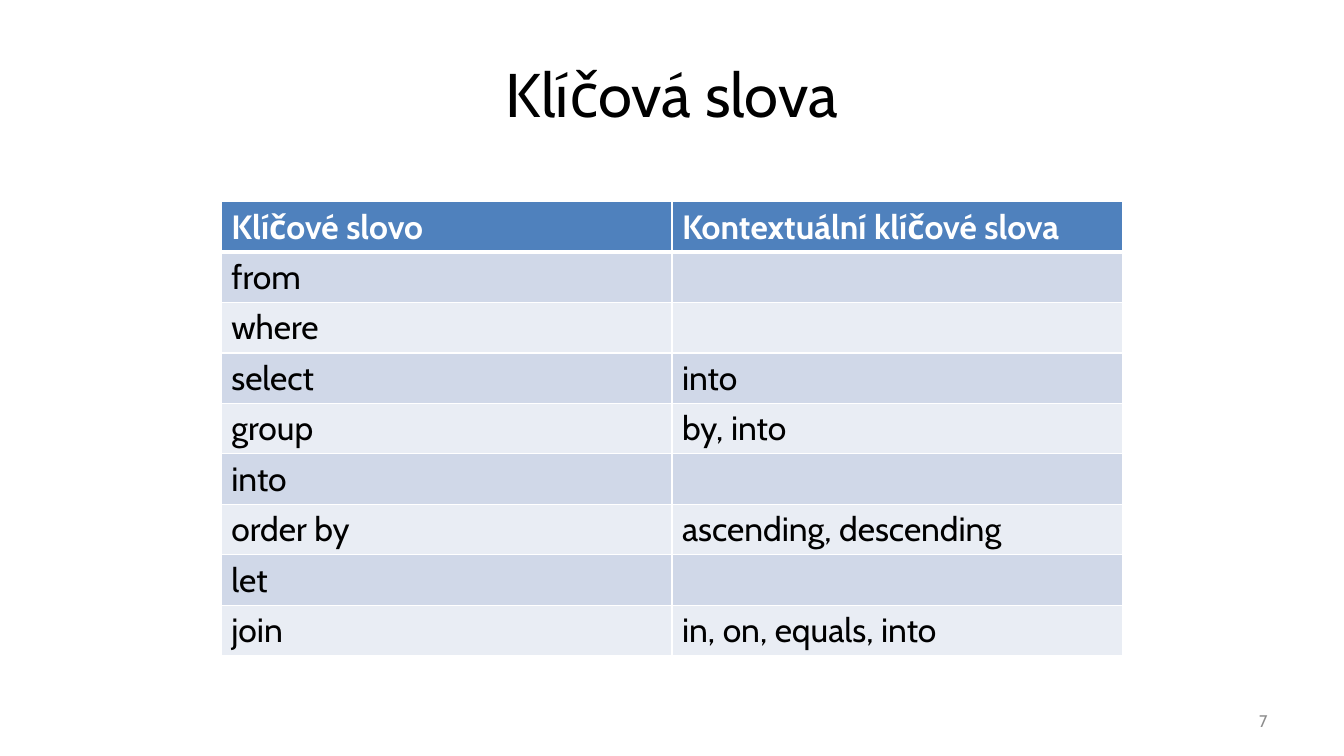
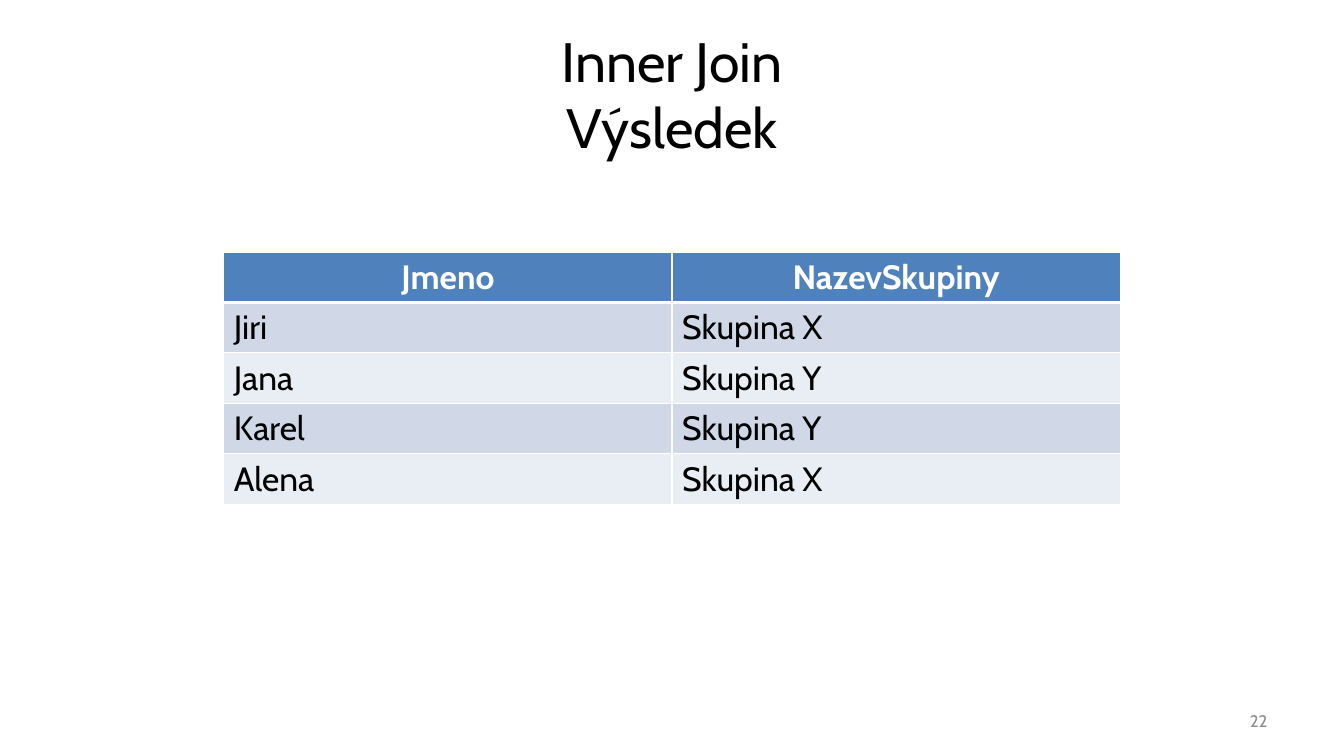
from copy import deepcopy
from dataclasses import dataclass

from pptx import Presentation
from pptx.dml.color import RGBColor as RGB
from pptx.enum.text import MSO_ANCHOR as ANCHOR, MSO_AUTO_SIZE as AUTO, PP_ALIGN as ALIGN
from pptx.oxml import parse_xml
from pptx.oxml.ns import nsdecls, qn
from pptx.util import Inches, Pt


@dataclass(frozen=True)
class Theme:
    """Colours, font and type sizes shared by the slides."""
    font: str = "Cabin"
    text: str = "000000"
    white: str = "FFFFFF"
    muted: str = "8C8C8C"
    header: str = "4F81BD"
    bands: tuple = ("D0D8E8", "E9EDF4")
    title: float = 44
    title_small: float = 39.6
    body: float = 24
    number: float = 12
    rule: float = 1
    header_rule: float = 3


T = Theme()
WIDTH, HEIGHT = 13.33, 7.5
MARGIN = WIDTH / 20
ROW = HEIGHT / 15
TITLE_BOX = (MARGIN, 0.3, WIDTH - 2 * MARGIN, 1.25)
NUMBER_BOX = (9.56, 6.95, 3.11, 0.4)

KEYWORDS = [
    ("Klíčové slovo", "Kontextuální klíčové slova"),
    ("from", ""),
    ("where", ""),
    ("select", "into"),
    ("group", "by, into"),
    ("into", ""),
    ("order by", "ascending, descending"),
    ("let", ""),
    ("join", "in, on, equals, into"),
]
JOINED = [
    ("Jmeno", "NazevSkupiny"),
    ("Jiri", "Skupina X"),
    ("Jana", "Skupina Y"),
    ("Karel", "Skupina Y"),
    ("Alena", "Skupina X"),
]


def write(tf, text, size, color, align=ALIGN.LEFT, bold=False):
    """Put text in a frame and format its runs and line breaks."""
    tf.text = text
    for p in tf.paragraphs:
        p.alignment = align
        for r in p.runs:
            r.font.name, r.font.size, r.font.bold = T.font, Pt(size), bold
            r.font.color.rgb = RGB.from_string(color)
        for br in p._p.findall(qn("a:br")):
            br.insert(0, deepcopy(p.runs[0]._r.rPr))


def add_title(s, box, text, size):
    """Move and format the title placeholder."""
    sp = s.shapes.title
    sp.left, sp.top, sp.width, sp.height = map(Inches, box)
    tf = sp.text_frame
    tf.word_wrap, tf.auto_size, tf.vertical_anchor = True, AUTO.NONE, ANCHOR.MIDDLE
    write(tf, text, size, T.text, ALIGN.CENTER)


def add_number(s, box, number):
    """Add the slide number at the lower right."""
    tf = s.shapes.add_textbox(*map(Inches, box)).text_frame
    tf.word_wrap, tf.vertical_anchor = True, ANCHOR.MIDDLE
    write(tf, str(number), T.number, T.muted, ALIGN.RIGHT)


def set_borders(cell, widths):
    """Draw white cell borders of the given widths."""
    tcPr = cell._tc.get_or_add_tcPr()
    for i, (side, width) in enumerate(widths.items()):
        tcPr.insert(i, parse_xml(
            f'<a:{side} {nsdecls("a")} w="{Pt(width)}"><a:solidFill>'
            f'<a:srgbClr val="{T.white}"/></a:solidFill></a:{side}>'))


def add_grid(s, box, rows, header_align):
    """Fill a box with a banded table under a header row."""
    table = s.shapes.add_table(len(rows), len(rows[0]), *map(Inches, box)).table
    for i, row in enumerate(rows):
        head = i == 0
        fill = T.header if head else T.bands[(i - 1) % 2]
        widths = dict.fromkeys(("lnL", "lnR", "lnT", "lnB"), T.rule)
        if head:
            widths["lnB"] = T.header_rule
        elif i == 1:
            widths["lnT"] = T.header_rule
        for j, text in enumerate(row):
            cell = table.cell(i, j)
            cell.fill.solid()
            cell.fill.fore_color.rgb = RGB.from_string(fill)
            set_borders(cell, widths)
            write(cell.text_frame, text, T.body, T.white if head else T.text,
                  header_align if head else ALIGN.LEFT, head)


def add_table_slide(prs, title, size, number, top, width, rows, header_align=ALIGN.LEFT):
    """Build a slide with a title, a centred table and a number."""
    s = prs.slides.add_slide(prs.slide_layouts[5])
    add_title(s, TITLE_BOX, title, size)
    add_number(s, NUMBER_BOX, number)
    add_grid(s, ((WIDTH - width) / 2, top, width, ROW * len(rows)), rows, header_align)


def main():
    """Build and save the presentation."""
    prs = Presentation()
    prs.slide_width, prs.slide_height = Inches(WIDTH), Inches(HEIGHT)
    add_table_slide(prs, "Klíčová slova", T.title, 7, 2, 8.94, KEYWORDS)
    add_table_slide(prs, "Inner Join\vVýsledek", T.title_small, 22, 2.5, 8.89, JOINED,
                    ALIGN.CENTER)
    prs.save("out.pptx")


if __name__ == "__main__":
    main()
